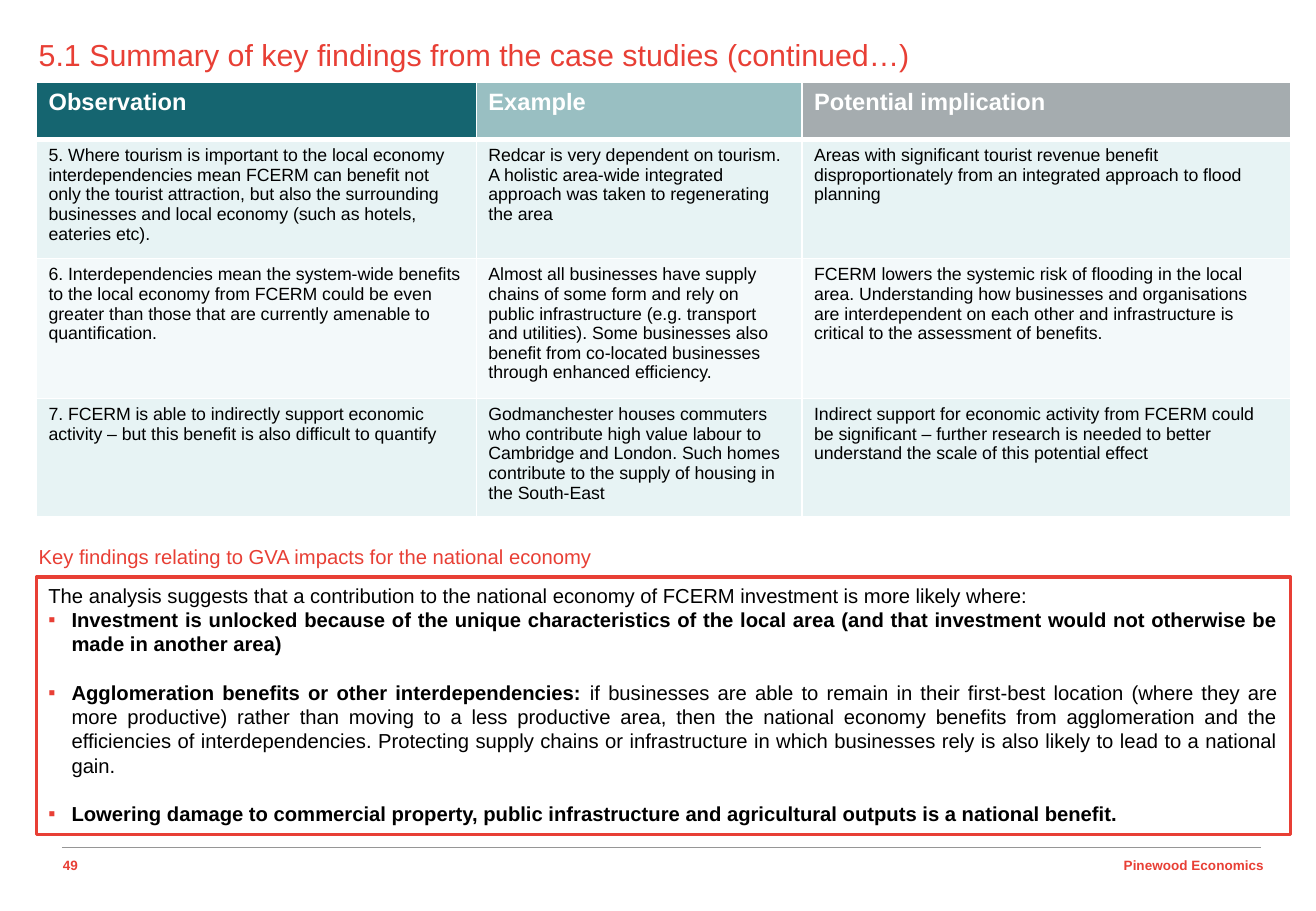
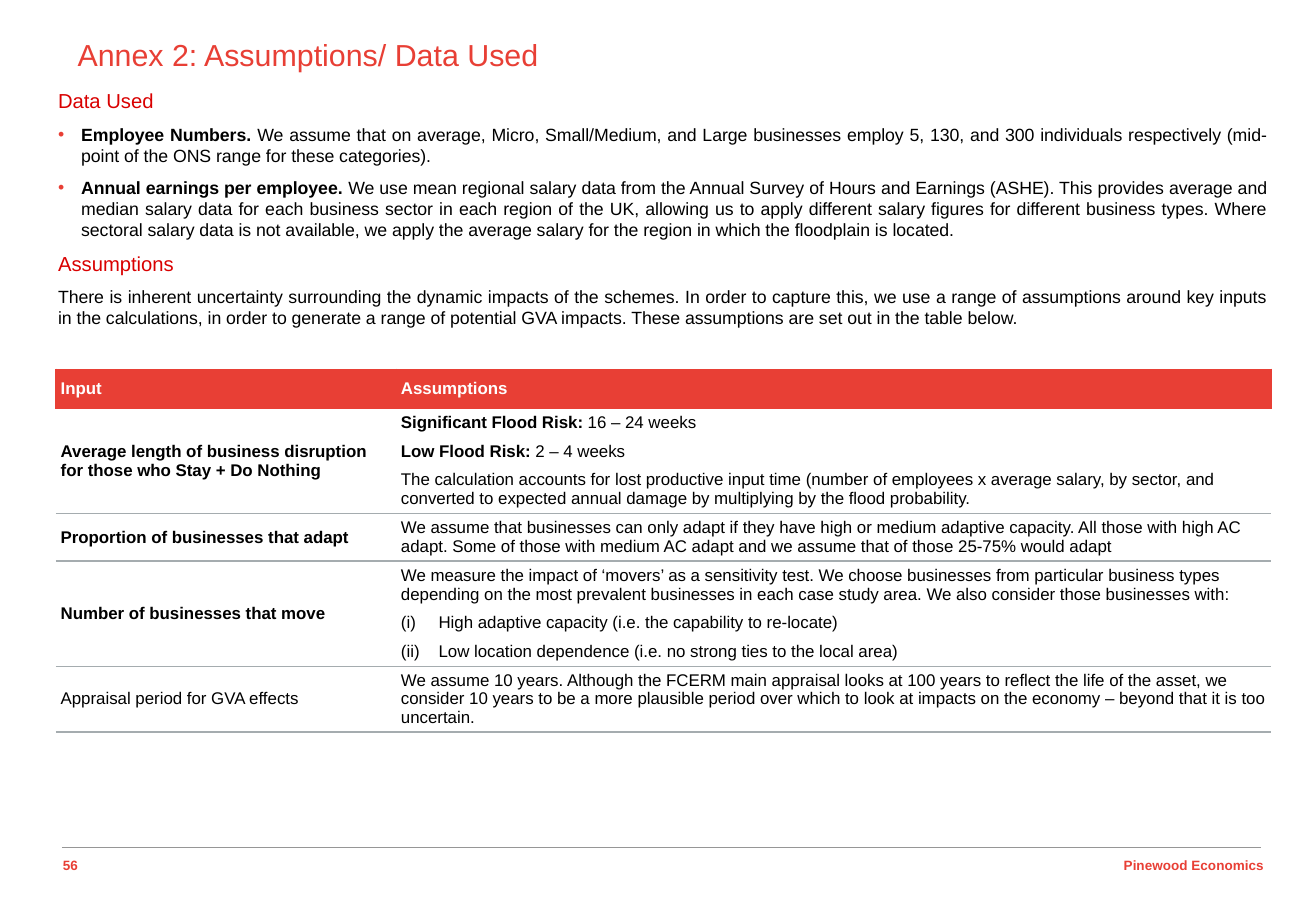
from lxml import etree
from pptx import Presentation
from pptx.dml.color import RGBColor
from pptx.enum.shapes import MSO_CONNECTOR, MSO_SHAPE
from pptx.enum.text import MSO_ANCHOR, PP_ALIGN
from pptx.oxml.ns import qn
from pptx.util import Inches, Pt

LEFT, RIGHT, JUSTIFY = PP_ALIGN.LEFT, PP_ALIGN.RIGHT, PP_ALIGN.JUSTIFY
TOP, MIDDLE = MSO_ANCHOR.TOP, MSO_ANCHOR.MIDDLE
RED, DARK_RED, GREY, RULE = "E83F35", "D90000", "A5ACAF", "969696"
BLACK, WHITE = "000000", "FFFFFF"
FONT = "Arial"
paint = RGBColor.from_string

PLAIN = {"size": 10.5, "color": BLACK, "align": LEFT, "gap": 0,
         "bullet": None, "indent": 0.19}


def write(frame, paragraphs, **style):
    """Fill a frame; text between ** is bold, and a (text, dict) pair overrides the style."""
    frame.word_wrap = style.pop("wrap", True)
    for index, entry in enumerate(paragraphs):
        text, own = (entry, {}) if isinstance(entry, str) else entry
        look = {**PLAIN, **style, **own}
        paragraph = frame.paragraphs[0] if index == 0 else frame.add_paragraph()
        paragraph.alignment = look["align"]
        if index:
            paragraph.space_before = Pt(look["gap"])
        if look["bullet"]:
            properties = paragraph._p.get_or_add_pPr()
            properties.set("marL", str(Inches(look["indent"])))
            properties.set("indent", str(-Inches(look["indent"])))
            if look["bullet"] == "(i)":
                etree.SubElement(properties, qn("a:buFont"), typeface=FONT)
                etree.SubElement(properties, qn("a:buAutoNum"), type="romanLcParenBoth")
            else:
                tint = etree.SubElement(properties, qn("a:buClr"))
                etree.SubElement(tint, qn("a:srgbClr"), val=RED)
                etree.SubElement(properties, qn("a:buFont"), typeface=FONT)
                etree.SubElement(properties, qn("a:buChar"), char=look["bullet"])
        for part, words in enumerate(text.split("**")):
            if words:
                run = paragraph.add_run()
                run.text = words
                run.font.name = FONT
                run.font.size = Pt(look["size"])
                run.font.bold = part % 2 == 1
                run.font.color.rgb = paint(look["color"])


def style_cell(cell, fill, borders):
    """Borders maps L, R, T and B to a colour and a width in points; a missing side has no line."""
    properties = cell._tc.get_or_add_tcPr()
    for side in "LRTB":
        color, width = borders.get(side, (None, 0))
        line = etree.SubElement(properties, qn("a:ln" + side), w=str(Pt(width)))
        if color:
            solid = etree.SubElement(line, qn("a:solidFill"))
            etree.SubElement(solid, qn("a:srgbClr"), val=color)
        else:
            etree.SubElement(line, qn("a:noFill"))
    cell.fill.solid()
    cell.fill.fore_color.rgb = paint(fill)


prs = Presentation()
prs.slide_width, prs.slide_height = Inches(10.83), Inches(7.5)

# Title, rule and footer of every slide
slides = []
for title, title_left, page in [
    ("5.1 Summary of key findings from the case studies (continued…)", 0.22, "49"),
    ("Annex 2: Assumptions/ Data Used", 0.54, "56"),
]:
    slide = prs.slides.add_slide(prs.slide_layouts[6])
    slides.append(slide)
    for left, top, width, height, text, style in [
        (7.9, 7.01, 2.6, 0.23, "**Pinewood Economics**", {"size": 8, "align": RIGHT}),
        (0.42, 7.01, 0.37, 0.23, f"**{page}**", {"size": 8, "wrap": False}),
        (title_left, 0.25, 10.38 - title_left, 0.5, title, {"size": 18}),
    ]:
        box = slide.shapes.add_textbox(Inches(left), Inches(top), Inches(width), Inches(height))
        write(box.text_frame, [text], color=RED, **style)
    rule = slide.shapes.add_connector(MSO_CONNECTOR.STRAIGHT, Inches(0.51), Inches(6.98),
                                      Inches(10.38), Inches(6.98))
    rule.line.color.rgb = paint(RULE)
    rule.line.width = Pt(0.75)
    etree.SubElement(rule._element.spPr, qn("a:effectLst"))
findings, annex = slides

# Case study findings
observations = [
    ["**Observation**", "**Example**", "**Potential implication**"],
    ["5. Where tourism is important to the local economy interdependencies mean FCERM can "
     "benefit not only the tourist attraction, but also the surrounding businesses and local "
     "economy (such as hotels, eateries etc).",
     "Redcar is very dependent on tourism. A holistic area-wide integrated approach was taken "
     "to regenerating the area",
     "Areas with significant tourist revenue benefit disproportionately from an integrated "
     "approach to flood planning"],
    ["6. Interdependencies mean the system-wide benefits to the local economy from FCERM could "
     "be even greater than those that are currently amenable to quantification.",
     "Almost all businesses have supply chains of some form and rely on public infrastructure "
     "(e.g. transport and utilities). Some businesses also benefit from co-located businesses "
     "through enhanced efficiency.",
     "FCERM lowers the systemic risk of flooding in the local area. Understanding how "
     "businesses and organisations are interdependent on each other and infrastructure is "
     "critical to the assessment of benefits."],
    ["7. FCERM is able to indirectly support economic activity – but this benefit is also "
     "difficult to quantify",
     "Godmanchester houses commuters who contribute high value labour to Cambridge and London. "
     "Such homes contribute to the supply of housing in the South-East",
     "Indirect support for economic activity from FCERM could be significant – further "
     "research is needed to better understand the scale of this potential effect"],
]
heading_fills = ["156570", "99BFC2", GREY]
band_fills = ["F3F9FA", "E7F3F4"]
summary = findings.shapes.add_table(4, 3, Inches(0.3), Inches(0.68),
                                    Inches(10.32), Inches(3.57)).table
summary.first_row = summary.horz_banding = False
for column, width in zip(summary.columns, [3.62, 2.68, 4.02]):
    column.width = Inches(width)
for r, (height, texts) in enumerate(zip([0.47, 0.98, 1.15, 0.97], observations)):
    summary.rows[r].height = Inches(height)
    borders = dict.fromkeys("LRTB", (WHITE, 1))
    if r < 2:
        borders["B" if r == 0 else "T"] = (WHITE, 3)
    for c, text in enumerate(texts):
        cell = summary.cell(r, c)
        style_cell(cell, band_fills[r % 2] if r else heading_fills[c], borders)
        if r:
            write(cell.text_frame, [text])
        else:
            write(cell.text_frame, [text], size=14, color=WHITE)

# National economy findings
subtitle = findings.shapes.add_textbox(Inches(0.22), Inches(4.43), Inches(5.24), Inches(0.3))
write(subtitle.text_frame, ["Key findings relating to GVA impacts for the national economy"],
      size=12, color=RED)
national = findings.shapes.add_shape(MSO_SHAPE.RECTANGLE, Inches(0.3), Inches(4.75),
                                     Inches(10.32), Inches(2.12))
national.shadow.inherit = False
national.fill.background()
national.line.color.rgb = paint(RED)
national.line.width = Pt(2)
national.text_frame.vertical_anchor = TOP
write(national.text_frame, [
    ("The analysis suggests that a contribution to the national economy of FCERM investment is "
     "more likely where:", {"bullet": None}),
    ("**Investment is unlocked because of the unique characteristics of the local area (and "
     "that investment would not otherwise be made in another area)**", {"gap": 0}),
    "**Agglomeration benefits or other interdependencies: **if businesses are able to remain in "
    "their first-best location (where they are more productive) rather than moving to a less "
    "productive area, then the national economy benefits from agglomeration and the "
    "efficiencies of interdependencies. Protecting supply chains or infrastructure in which "
    "businesses rely is also likely to lead to a national gain.",
    "**Lowering damage to commercial property, public infrastructure and agricultural outputs "
    "is a national benefit.**",
], size=12, align=JUSTIFY, gap=14.4, bullet="▪")

# Data used and assumptions
heading = {"size": 12, "color": DARK_RED}
dot = {"bullet": "•"}
data_used = annex.shapes.add_textbox(Inches(0.38), Inches(0.68), Inches(10.16), Inches(2.2))
write(data_used.text_frame, [
    ("Data Used", heading),
    ("**Employee Numbers. **We assume that on average, Micro, Small/Medium, and Large "
     "businesses employ 5, 130, and 300 individuals respectively (mid-point of the ONS range "
     "for these categories).", dot),
    ("**Annual earnings per employee. **We use mean regional salary data from the Annual "
     "Survey of Hours and Earnings (ASHE). This provides average and median salary data for "
     "each business sector in each region of the UK, allowing us to apply different salary "
     "figures for different business types. Where sectoral salary data is not available, we "
     "apply the average salary for the region in which the floodplain is located.", dot),
    ("Assumptions", heading),
    "There is inherent uncertainty surrounding the dynamic impacts of the schemes. In order to "
    "capture this, we use a range of assumptions around key inputs in the calculations, in "
    "order to generate a range of potential GVA impacts. These assumptions are set out in the "
    "table below.",
], align=JUSTIFY, gap=6.3)

# Assumptions table
numbered = {"bullet": "(i)", "indent": 0.31}
assumptions = [
    ("**Input**", ["**Assumptions**"]),
    ("**Average length of business disruption for those who Stay + Do Nothing**",
     ["**Significant Flood Risk: **16 – 24 weeks",
      "**Low Flood Risk: **2 – 4 weeks",
      "The calculation accounts for lost productive input time (number of employees x average "
      "salary, by sector, and converted to expected annual damage by multiplying by the flood "
      "probability."]),
    ("**Proportion of businesses that adapt**",
     ["We assume that businesses can only adapt if they have high or medium adaptive capacity. "
      "All those with high AC adapt. Some of those with medium AC adapt and we assume that of "
      "those 25-75% would adapt"]),
    ("**Number of businesses that move**",
     ["We measure the impact of ‘movers’ as a sensitivity test. We choose businesses from "
      "particular business types depending on the most prevalent businesses in each case study "
      "area. We also consider those businesses with:",
      ("High adaptive capacity (i.e. the capability to re-locate)", numbered),
      ("Low location dependence (i.e. no strong ties to the local area)", numbered)]),
    ("Appraisal period for GVA effects",
     ["We assume 10 years. Although the FCERM main appraisal looks at 100 years to reflect the "
      "life of the asset, we consider 10 years to be a more plausible period over which to look "
      "at impacts on the economy – beyond that it is too uncertain."]),
]
inputs = annex.shapes.add_table(5, 2, Inches(0.46), Inches(3.04),
                                Inches(10), Inches(2.98)).table
inputs.first_row = inputs.horz_banding = False
for column, width in zip(inputs.columns, [2.8, 7.2]):
    column.width = Inches(width)
for r, (height, (name, details)) in enumerate(zip([0.32, 0.87, 0.39, 0.86, 0.54], assumptions)):
    inputs.rows[r].height = Inches(height)
    if r:
        borders = {"T": (GREY if r > 1 else RED, 1), "B": (GREY, 1)}
    else:
        borders = dict.fromkeys("LRTB", (RED, 1))
    for c, paragraphs in enumerate([[name], details]):
        cell = inputs.cell(r, c)
        style_cell(cell, WHITE if r else RED, borders)
        cell.vertical_anchor = MIDDLE
        cell.margin_left = cell.margin_right = Inches(0.04)
        cell.margin_top = cell.margin_bottom = Inches(0.02)
        write(cell.text_frame, paragraphs, size=10, gap=5.7, color=BLACK if r else WHITE)

prs.save("out.pptx")
